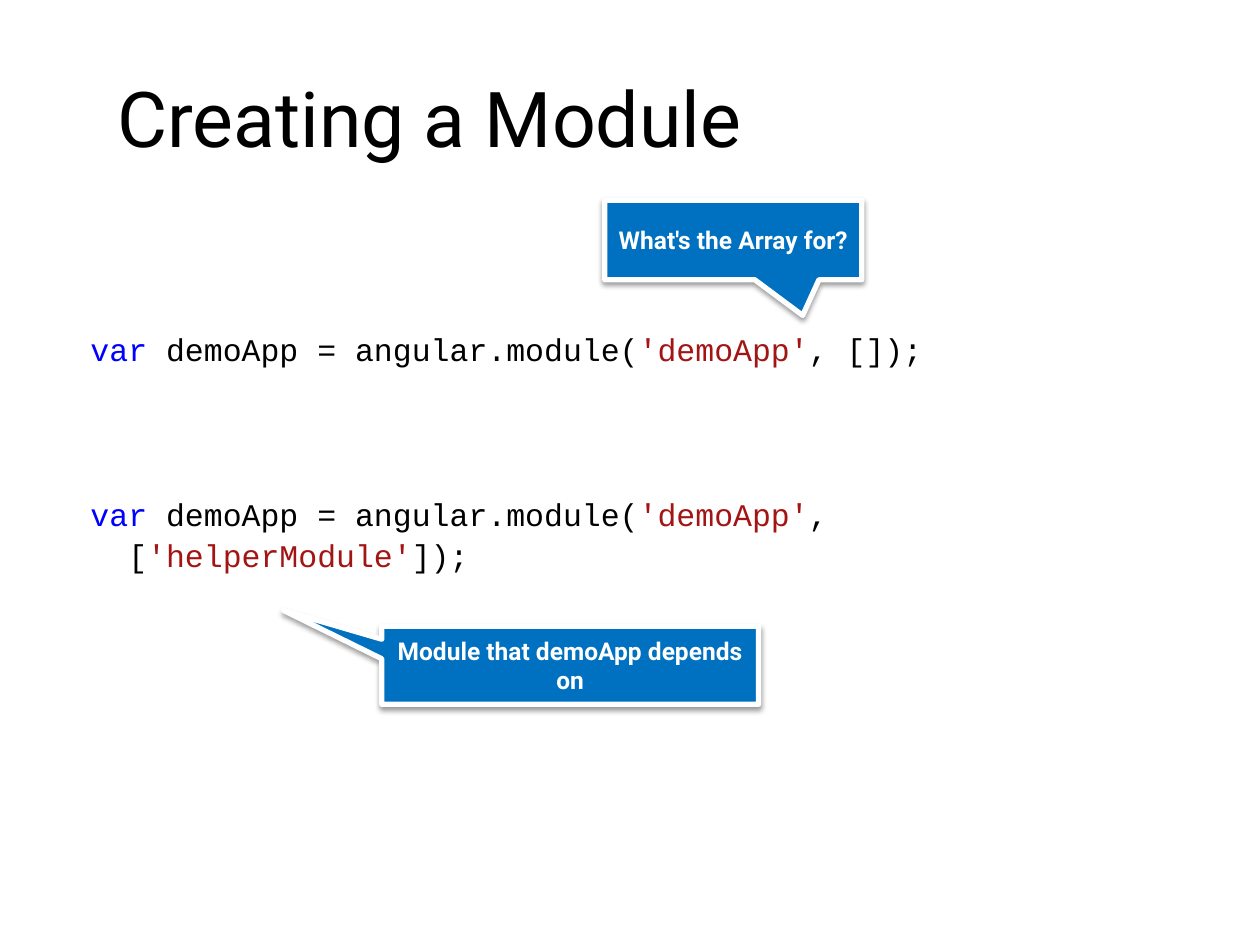
from lxml import etree
from pptx import Presentation
from pptx.dml.color import RGBColor
from pptx.enum.shapes import MSO_SHAPE
from pptx.enum.text import MSO_ANCHOR, PP_ALIGN
from pptx.oxml import parse_xml
from pptx.oxml.ns import nsdecls, qn
from pptx.util import Inches, Pt

CALLOUT = MSO_SHAPE.RECTANGULAR_CALLOUT
MIDDLE = MSO_ANCHOR.MIDDLE
LEFT, CENTER = PP_ALIGN.LEFT, PP_ALIGN.CENTER

BLACK = RGBColor(0x00, 0x00, 0x00)
WHITE = RGBColor(0xFF, 0xFF, 0xFF)
KEYWORD = RGBColor(0x00, 0x00, 0xFF)
STRING = RGBColor(0xA3, 0x15, 0x15)
CALLOUT_BLUE = RGBColor(0x00, 0x70, 0xC0)

TEXT_FONT = "Roboto"
CODE_FONT = "Courier New"
CODE_INDENT = Inches(0.3)

DECLARATION = [
    ("var", KEYWORD),
    (" demoApp = angular.module(", BLACK),
    ("'demoApp'", STRING),
]
EMPTY_ARRAY_CODE = [(0, DECLARATION + [(", []);", BLACK)])]
DEPENDENCY_CODE = [
    (0, DECLARATION + [(",", BLACK)]),
    (1, [("[", BLACK), ("'helperModule'", STRING), ("]);", BLACK)]),
]


def place(shape, box):
    """Move a shape to a box of left, top, width and height in inches."""
    shape.left, shape.top, shape.width, shape.height = map(Inches, box)


def style_font(font, name, size, color, bold=False):
    """Set the typeface, size, colour and weight of a font."""
    font.name, font.size, font.bold = name, Pt(size), bold
    font.color.rgb = color


def add_title(page, box, text):
    """Fill the title placeholder and move it to its box."""
    title = page.shapes.title
    place(title, box)
    title.text_frame.text = text
    title.text_frame.vertical_anchor = MIDDLE
    para = title.text_frame.paragraphs[0]
    para.alignment = LEFT
    style_font(para.font, TEXT_FONT, 44, BLACK)


def add_code(page, box, lines):
    """Add a code sample whose lines are pairs of indent level and coloured spans."""
    frame = page.shapes.add_textbox(*map(Inches, box)).text_frame
    frame.word_wrap = True
    for number, (level, spans) in enumerate(lines):
        para = frame.add_paragraph() if number else frame.paragraphs[0]
        para.line_spacing = 1.07
        para.font.name, para.font.size = CODE_FONT, Pt(18)
        para._p.get_or_add_pPr().set("marL", str(level * CODE_INDENT))
        for text, color in spans:
            span = para.add_run()
            span.text = text
            style_font(span.font, CODE_FONT, 18, color)


def add_shadow(shape):
    """Give a shape a soft shadow that falls straight down."""
    shape.shadow.inherit = False
    effects = shape._element.spPr.find(qn("a:effectLst"))
    shadow = parse_xml(
        f'<a:outerShdw {nsdecls("a")} blurRad="{Pt(3.1)}" dist="{Pt(1.6)}" '
        'dir="5400000" rotWithShape="0"/>'
    )
    color = etree.SubElement(shadow, qn("a:srgbClr"), val=str(BLACK))
    etree.SubElement(color, qn("a:alpha"), val="38000")
    effects.append(shadow)


def add_callout(page, box, pointer, text):
    """Add a blue callout whose pointer is an offset relative to its size."""
    callout = page.shapes.add_shape(CALLOUT, *map(Inches, box))
    callout.adjustments[0], callout.adjustments[1] = pointer
    callout.fill.solid()
    callout.fill.fore_color.rgb = CALLOUT_BLUE
    callout.line.color.rgb = WHITE
    callout.line.width = Pt(3)
    add_shadow(callout)
    frame = callout.text_frame
    frame.word_wrap = True
    frame.vertical_anchor = MIDDLE
    frame.text = text
    para = frame.paragraphs[0]
    para.alignment = CENTER
    style_font(para.font, TEXT_FONT, 14, WHITE, bold=True)


def main():
    """Build the slide and save the deck."""
    deck = Presentation()
    deck.slide_width, deck.slide_height = Inches(10), Inches(7.5)
    page = deck.slides.add_slide(deck.slide_layouts[5])
    add_title(page, (0.83, 0.3, 8.83, 1.25), "Creating a Module")
    add_code(page, (0.62, 2.55, 8.97, 1.01), EMPTY_ARRAY_CODE)
    add_callout(page, (4.8, 1.59, 2.04, 0.63), (0.27, 0.95), "What's the Array for?")
    add_code(page, (0.62, 3.86, 8.47, 1.01), DEPENDENCY_CODE)
    add_callout(
        page, (3.03, 4.97, 2.99, 0.62), (-0.76, -0.7), "Module that demoApp depends on"
    )
    deck.save("out.pptx")


if __name__ == "__main__":
    main()
